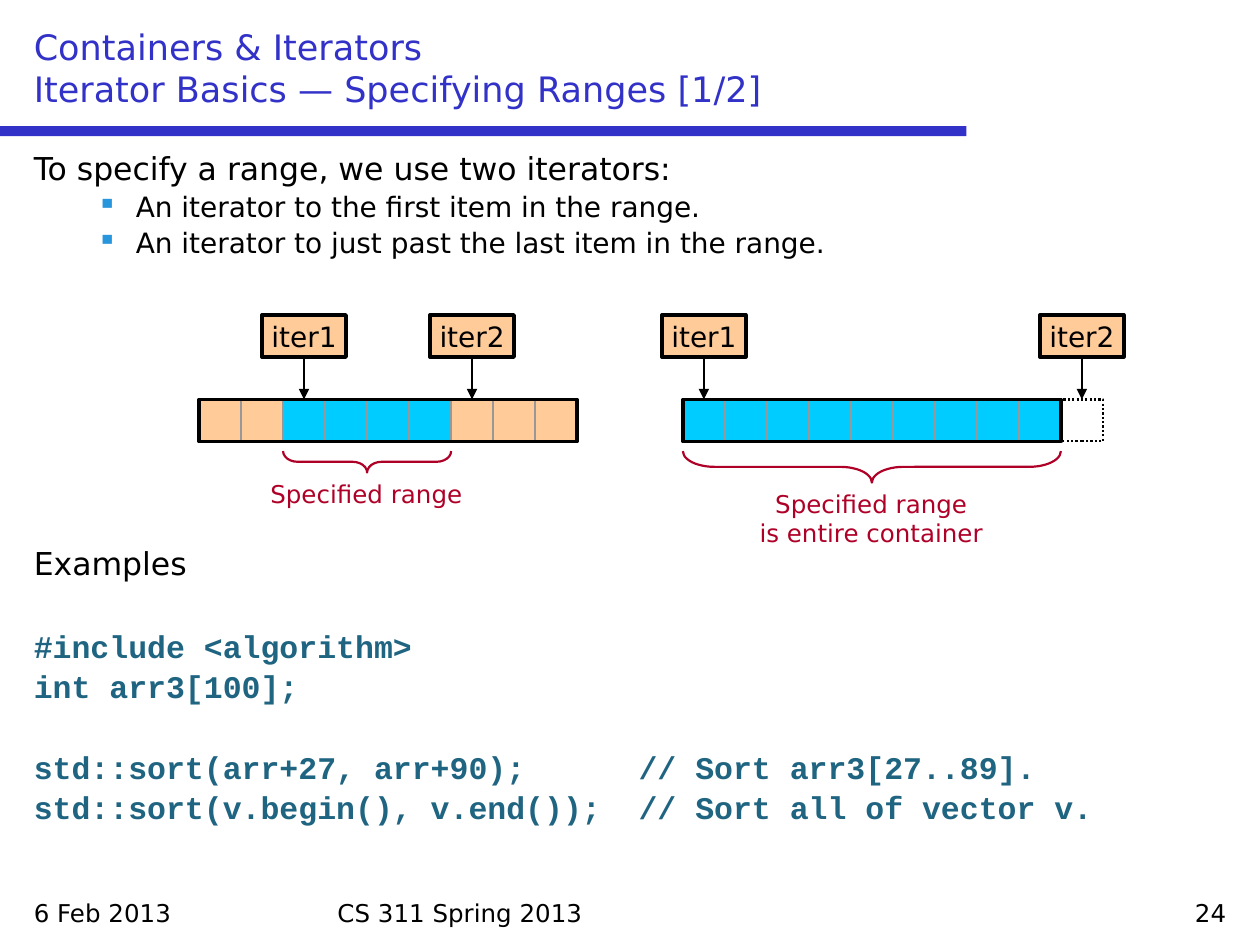
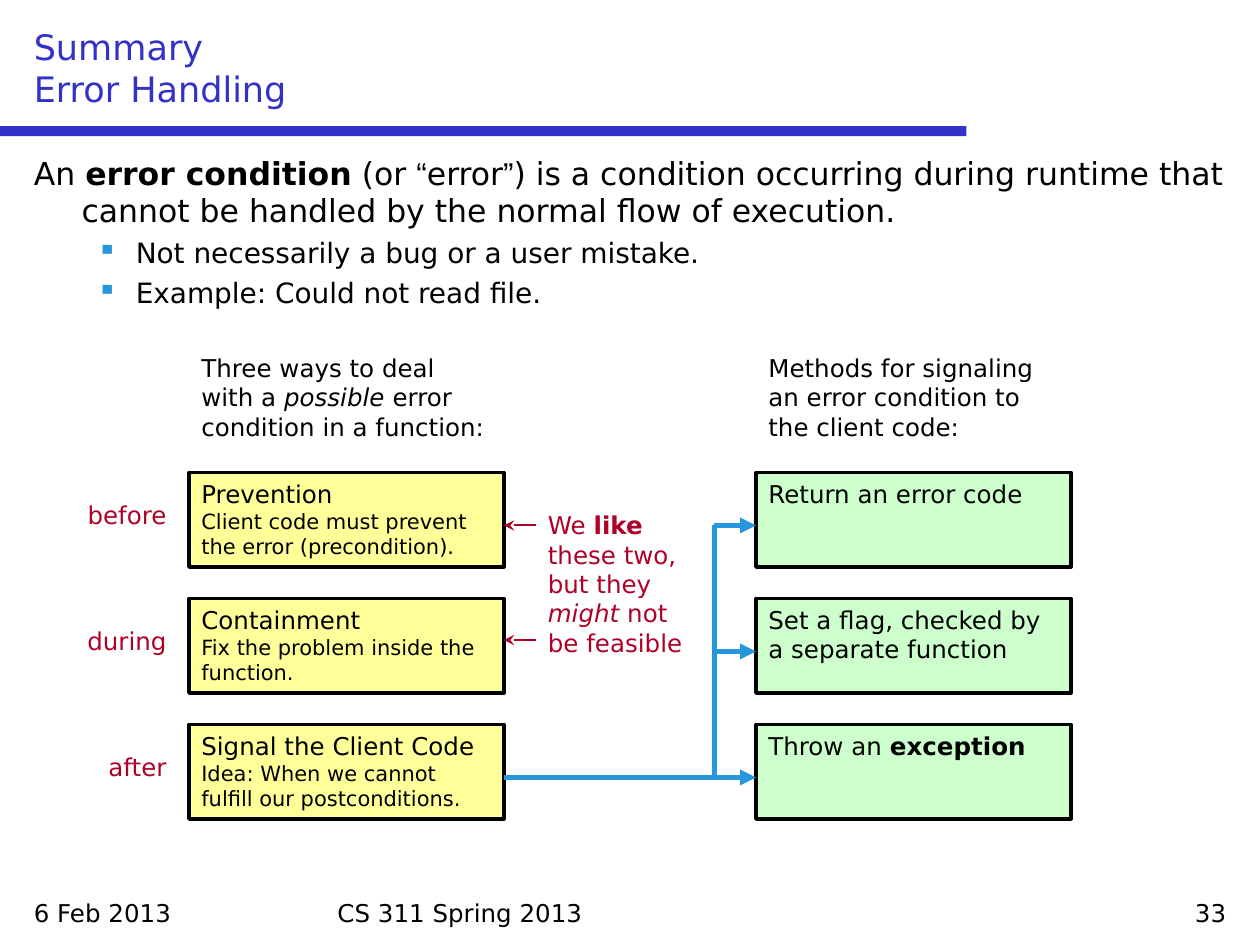
from lxml.etree import SubElement
from pptx import Presentation
from pptx.dml.color import RGBColor
from pptx.enum.dml import MSO_LINE as Dash
from pptx.enum.shapes import MSO_CONNECTOR as Connector, MSO_SHAPE as Shape
from pptx.enum.text import MSO_ANCHOR as Anchor, PP_ALIGN as Align
from pptx.oxml.ns import qn
from pptx.util import Inches, Pt

COLORS = {
    "title": "3232C8", "text": "000000", "accent": "2896DC", "note": "AF0028",
    "code": "1F6481", "grid": "989898", "peach": "FFCC99", "cyan": "00CCFF",
    "yellow": "FFFF99", "green": "CCFFCC",
}
FONT, CODE_FONT = "DejaVu Sans", "Courier New"
CELL, CELLS, CELL_TOP = 1 / 3, 9, 3.17
BOX_W, BOX_H = 2.5, 0.75
WAYS_X, METHODS_X, BRANCH_X = 1.5, 6, 5.67


def rgb(name):
    """Return the named colour."""
    return RGBColor.from_string(COLORS[name])


def write(p, runs, size=14, color="text", font=FONT, bold=False, align=Align.LEFT,
          before=0, spacing=None, indent=None, bullet=False, tab=None):
    """Fill a paragraph from a string, or a list of strings and (string, format) pairs."""
    p.alignment, p.space_before, p.line_spacing = align, Pt(before), spacing
    for run in [runs] if isinstance(runs, str) else runs:
        text, look = (run, {}) if isinstance(run, str) else run
        for i, line in enumerate(text.split("\n")):
            if i:
                p.add_line_break()
            if not line:
                continue
            r = p.add_run()
            r.text = line
            r.font.size = Pt(look.get("size", size))
            r.font.name = look.get("font", font)
            r.font.bold = look.get("bold", bold)
            r.font.italic = look.get("italic", False)
            r.font.color.rgb = rgb(color)
    pPr = p._p.get_or_add_pPr()
    if indent:
        margin, first = indent
        pPr.set("marL", str(Inches(margin)))
        pPr.set("indent", str(Inches(first)))
    if bullet:
        SubElement(SubElement(pPr, qn("a:buClr")), qn("a:srgbClr"), val=COLORS["accent"])
        SubElement(pPr, qn("a:buChar"), char="▪")
    if tab:
        SubElement(SubElement(pPr, qn("a:tabLst")), qn("a:tab"), pos=str(Inches(tab)), algn="l")


def add_frame(s, x, y, w, h):
    """Add an empty wrapping text box and return its text frame."""
    tf = s.shapes.add_textbox(Inches(x), Inches(y), Inches(w), Inches(h)).text_frame
    tf.word_wrap = True
    return tf


def add_label(s, x, y, w, h, runs, anchor=Anchor.TOP, **fmt):
    """Add a text box with one paragraph."""
    tf = add_frame(s, x, y, w, h)
    tf.vertical_anchor = anchor
    write(tf.paragraphs[0], runs, **fmt)


def add_shape(s, x, y, w, h, fill=None, line=None, width=2, kind=Shape.RECTANGLE):
    """Add a flat preset shape."""
    sp = s.shapes.add_shape(kind, Inches(x), Inches(y), Inches(w), Inches(h))
    sp.shadow.inherit = False
    if fill:
        sp.fill.solid()
        sp.fill.fore_color.rgb = rgb(fill)
    else:
        sp.fill.background()
    if line:
        sp.line.color.rgb = rgb(line)
        sp.line.width = Pt(width)
    else:
        sp.line.fill.background()
    return sp


def add_box(s, x, y, fill, runs):
    """Add an outlined box with text at its top left."""
    tf = add_shape(s, x, y, BOX_W, BOX_H, fill, "text").text_frame
    tf.word_wrap = True
    tf.vertical_anchor = Anchor.TOP
    write(tf.paragraphs[0], runs)


def add_line(s, start, end, color="text", width=1.25, head=None):
    """Add a straight line with an optional arrowhead at its end."""
    c = s.shapes.add_connector(Connector.STRAIGHT, *map(Inches, start + end))
    c.line.color.rgb = rgb(color)
    c.line.width = Pt(width)
    if head:
        SubElement(c.line._get_or_add_ln(), qn("a:tailEnd"), type=head)
    SubElement(c._element.spPr, qn("a:effectLst"))


def add_body(s, intro, bullets, spacing=1.0):
    """Add the lead sentence and its bullets."""
    tf = add_frame(s, 0.17, 1.17, 9.67, 1.4)
    write(tf.paragraphs[0], intro, size=18, spacing=spacing, indent=(0.38, -0.38))
    for text in bullets:
        write(tf.add_paragraph(), text, size=16, before=3.7 * spacing, spacing=spacing,
              indent=(0.81, -0.31), bullet=True)


def add_slide(prs, title, number):
    """Add a slide with the shared title, rule and footer."""
    s = prs.slides.add_slide(prs.slide_layouts[6])
    add_shape(s, 0, 1, 7.67, 0.08, "title")
    add_label(s, 0.17, 7.08, 2.33, 0.33, "6 Feb 2013")
    add_label(s, 2.58, 7.08, 4.83, 0.33, "CS 311 Spring 2013")
    add_label(s, 7.5, 7.08, 2.33, 0.33, number, align=Align.RIGHT)
    add_label(s, 0.17, 0.17, 9.67, 0.75, title, anchor=Anchor.BOTTOM, size=20, color="title")
    return s


def add_iterator(s, x, name):
    """Add a named iterator box centred on x, pointing down at a cell."""
    sp = add_shape(s, x - CELL, 2.5, 2 * CELL, CELL, "peach", "text")
    tf = sp.text_frame
    tf.word_wrap = False
    tf.vertical_anchor = Anchor.MIDDLE
    write(tf.paragraphs[0], name, size=16, align=Align.CENTER)
    add_line(s, (x, 2.83), (x, CELL_TOP), head="triangle")


def add_brace(s, x, y, w, depth):
    """Add a brace that opens upwards over the given width."""
    sp = add_shape(s, x + (w - depth) / 2, y + (depth - w) / 2, depth, w,
                   line="note", width=1.25, kind=Shape.LEFT_BRACE)
    sp.rotation = 270
    sp.adjustments[0] = 4 * depth


def add_range(s, left, first, last, depth, caption):
    """Draw a container whose cells from first up to last are the specified range."""
    for i in range(CELLS):
        fill = "cyan" if first <= i < last else "peach"
        add_shape(s, left + i * CELL, CELL_TOP, CELL, CELL, fill, "grid", 1.25)
    if last == CELLS:
        past = add_shape(s, left + last * CELL, CELL_TOP, CELL, CELL, None, "text", 1.25)
        past.line.dash_style = Dash.ROUND_DOT
    add_shape(s, left, CELL_TOP, CELLS * CELL, CELL, None, "text")
    for i, name in ((first, "iter1"), (last, "iter2")):
        add_iterator(s, left + (i + 0.5) * CELL, name)
    x, w = left + first * CELL, (last - first) * CELL
    add_brace(s, x, 3.58, w, depth)
    add_label(s, x + w / 2 - 1.17, 3.58 + depth, 2.33, 0.34, caption,
              color="note", align=Align.CENTER)


def build_ranges(prs):
    """Build the slide on specifying ranges."""
    s = add_slide(prs, "Containers & Iterators\nIterator Basics — Specifying Ranges [1/2]", "24")
    add_body(s, "To specify a range, we use two iterators:",
             ["An iterator to the first item in the range.",
              "An iterator to just past the last item in the range."], 0.9)
    add_range(s, 1.58, 2, 6, 0.17, "Specified range")
    add_range(s, 5.42, 0, CELLS, 0.25, "Specified range\nis entire container")
    add_label(s, 0.17, 4.3, 9.67, 0.4, "Examples", size=18, spacing=0.9)
    tf = add_frame(s, 0.17, 4.91, 9.67, 1.8)
    code = [("#include <algorithm>", 0), ("int arr3[100];", 0),
            ("std::sort(arr+27, arr+90);\t// Sort arr3[27..89].", 23),
            ("std::sort(v.begin(), v.end());\t// Sort all of vector v.", 0)]
    for i, (text, before) in enumerate(code):
        write(tf.add_paragraph() if i else tf.paragraphs[0], text, size=18, color="code",
              font=CODE_FONT, bold=True, before=before, spacing=Pt(23), tab=4.8)


def build_errors(prs):
    """Build the slide on error handling."""
    s = add_slide(prs, "Summary\nError Handling", "33")
    bold, italic, small, quote = {"bold": True}, {"italic": True}, {"size": 12}, {"font": "Arial"}
    add_body(s, ["An ", ("error condition", bold), " (or ", ("“", quote), "error", ("”", quote),
                 ") is a condition occurring during runtime that cannot be handled "
                 "by the normal flow of execution."],
             ["Not necessarily a bug or a user mistake.", "Example: Could not read file."])
    add_label(s, WAYS_X, 2.75, BOX_W, BOX_H,
              ["Three ways to deal with a ", ("possible", italic),
               " error condition in a function:"])
    add_label(s, METHODS_X, 2.75, BOX_W, BOX_H,
              "Methods for signaling an error condition to the client code:")
    rows = [
        ("before", "Prevention", "Client code must prevent the error (precondition).",
         "Return an error code"),
        ("during", "Containment", "Fix the problem inside the function.",
         "Set a flag, checked by a separate function"),
        ("after", "Signal the Client Code", "Idea: When we cannot fulfill our postconditions.",
         ["Throw an ", ("exception", bold)]),
    ]
    for i, (when, way, detail, method) in enumerate(rows):
        y = 3.75 + i
        add_label(s, 0.5, y + 0.17, 0.92, 0.34, when, color="note", align=Align.RIGHT)
        add_box(s, WAYS_X, y, "yellow", [way + "\n", (detail, small)])
        add_box(s, METHODS_X, y, "green", method)
        start = WAYS_X + BOX_W if when == "after" else BRANCH_X
        add_line(s, (start, y + 0.42), (METHODS_X, y + 0.42), "accent", 3, "triangle")
    add_line(s, (BRANCH_X, 6.17), (BRANCH_X, 4.17), "accent", 3)
    add_label(s, 4.25, 4, 1.33, 1.29,
              ["We ", ("like", bold), " these two, but they ", ("might", italic),
               " not be feasible"], color="note")
    for y in (4.17, 5.08):
        add_line(s, (4.25, y), (WAYS_X + BOX_W, y), "note", head="stealth")


def main():
    """Build and save the presentation."""
    prs = Presentation()
    prs.slide_width, prs.slide_height = Inches(10), Inches(7.5)
    build_ranges(prs)
    build_errors(prs)
    prs.save("out.pptx")


if __name__ == "__main__":
    main()
